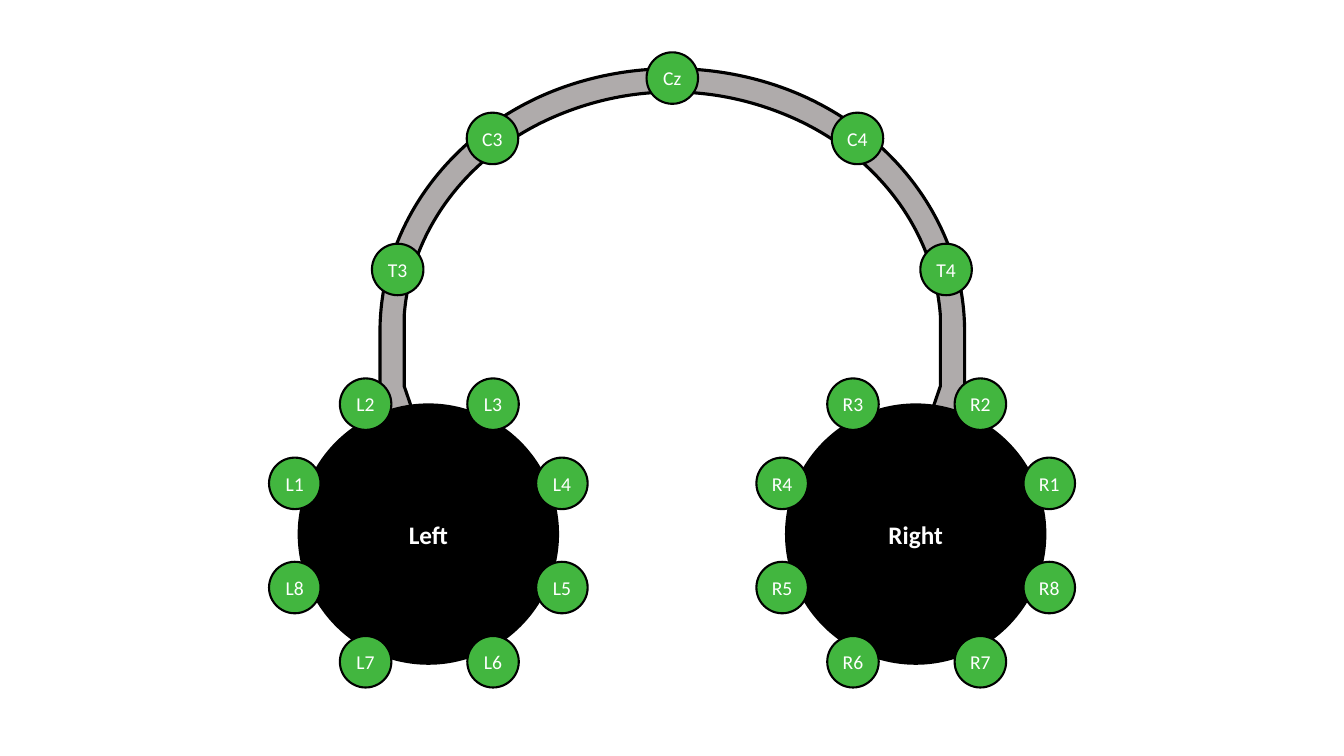
"""Draw a headphone-style electrode layout with a headband and two ear cups."""
from dataclasses import dataclass

from lxml import etree
from pptx import Presentation
from pptx import util as u
from pptx.dml.color import RGBColor
from pptx.enum import shapes, text
from pptx.oxml import ns

COLORS = {"electrode": "42B63F", "band": "AFABAB", "ink": "000000", "label": "FFFFFF"}
AXIS = 480.25
ELECTRODE_SIZE = 36.8
CUP_SIZE = 182.2
CUP_Y = 381.5

Point = tuple[float, float]


@dataclass(frozen=True)
class Electrode:
    label: str
    x: float
    y: float


@dataclass(frozen=True)
class Cup:
    label: str
    x: float
    electrodes: tuple[str, ...]


BAND_ELECTRODES = (
    Electrode("Cz", AXIS, 55.8),
    Electrode("C3", 351.8, 98.9),
    Electrode("C4", 612.5, 98.9),
    Electrode("T3", 284.1, 192.5),
    Electrode("T4", 675.8, 192.5),
)
CUPS = (
    Cup("Left", 306, ("L2", "L3", "L4", "L5", "L6", "L7", "L8", "L1")),
    Cup("Right", 654.1, ("R3", "R2", "R1", "R8", "R7", "R6", "R5", "R4")),
)
CLOCKWISE_OFFSETS: tuple[Point, ...] = (
    (-44.8, -92.8), (46.2, -92.8), (95.4, -36.2), (95.4, 38.2),
    (46.2, 91.2), (-44.8, 91.2), (-95.4, 38.2), (-95.4, -36.2),
)
BAND_START: Point = (0, 49)
BAND_SEGMENTS: tuple[tuple[Point, ...], ...] = (
    ((33.8, 49), (66.9, 56.2), (96.2, 69.8)),
    ((165.6, 102.2), (208.8, 167), (208.8, 236.9)),
    ((208.8, 280.8),),
    ((163.4, 409.7),),
    ((147.6, 403.9),),
    ((191.5, 275.8),),
    ((191.5, 225.4),),
    ((187.2, 166.3), (148.3, 112.3), (87.5, 84.8)),
    ((59, 72), (29.5, 65.7), (0, 65.7)),
)


def rgb(name: str) -> RGBColor:
    """Look up a colour by its role."""
    return RGBColor.from_string(COLORS[name])


def paint(shape, fill: str, line_width: float) -> None:
    """Give a shape its fill and black outline."""
    shape.shadow.inherit = False
    shape.fill.solid()
    shape.fill.fore_color.rgb = rgb(fill)
    shape.line.color.rgb = rgb("ink")
    shape.line.width = u.Pt(line_width)


def write(shape, label: str, *, size: float, bold: bool = False) -> None:
    """Centre a label inside a shape."""
    frame = shape.text_frame
    frame.margin_left = frame.margin_right = u.Pt(2.9)
    frame.margin_top = frame.margin_bottom = u.Pt(2.9)
    frame.vertical_anchor = text.MSO_ANCHOR.MIDDLE
    paragraph = frame.paragraphs[0]
    paragraph.alignment = text.PP_ALIGN.CENTER
    run = paragraph.add_run()
    run.text = label
    run.font.name = "Calibri"
    run.font.size = u.Pt(size)
    run.font.bold = bold
    run.font.color.rgb = rgb("label")


def add_circle(slide, x: float, y: float, diameter: float):
    """Add a circle around a centre point."""
    return slide.shapes.add_shape(
        shapes.MSO_SHAPE.OVAL, u.Pt(x - diameter / 2), u.Pt(y - diameter / 2),
        u.Pt(diameter), u.Pt(diameter))


def draw_electrode(slide, electrode: Electrode) -> None:
    """Draw one labelled electrode."""
    circle = add_circle(slide, electrode.x, electrode.y, ELECTRODE_SIZE)
    paint(circle, "electrode", 1.5)
    write(circle, electrode.label, size=14)


def draw_cup(slide, cup: Cup) -> None:
    """Draw an ear cup with its ring of electrodes."""
    disc = add_circle(slide, cup.x, CUP_Y, CUP_SIZE)
    paint(disc, "ink", 4.5)
    write(disc, cup.label, size=18, bold=True)
    for label, (dx, dy) in zip(cup.electrodes, CLOCKWISE_OFFSETS):
        draw_electrode(slide, Electrode(label, cup.x + dx, CUP_Y + dy))


def bend(outline, segment_sizes: list[int]) -> None:
    """Join each run of three outline points into one cubic curve."""
    steps = iter(list(outline._element.iter(ns.qn("a:lnTo"))))
    for size in segment_sizes:
        segment = [next(steps) for _ in range(size)]
        if size == 3:
            curve = etree.Element(ns.qn("a:cubicBezTo"))
            segment[0].addprevious(curve)
            for step in segment:
                curve.append(step[0])
                step.getparent().remove(step)


def draw_band(slide) -> None:
    """Draw the headband as a half outline and its mirror."""
    right = [BAND_START, *(point for segment in BAND_SEGMENTS for point in segment)]
    left = [(-x, y) for x, y in reversed(right[:-1])]
    start, *rest = [(u.Pt(AXIS + x), u.Pt(y)) for x, y in right + left]
    builder = slide.shapes.build_freeform(*start)
    builder.add_line_segments(rest, close=True)
    band = builder.convert_to_shape()
    sizes = [len(segment) for segment in BAND_SEGMENTS]
    bend(band, sizes + sizes[::-1])
    paint(band, "band", 2.25)


def main() -> None:
    """Build and save the slide."""
    deck = Presentation()
    deck.slide_width, deck.slide_height = u.Pt(960), u.Pt(540)
    slide = deck.slides.add_slide(deck.slide_layouts[6])
    draw_band(slide)
    for electrode in BAND_ELECTRODES:
        draw_electrode(slide, electrode)
    for cup in CUPS:
        draw_cup(slide, cup)
    deck.save("out.pptx")


if __name__ == "__main__":
    main()
